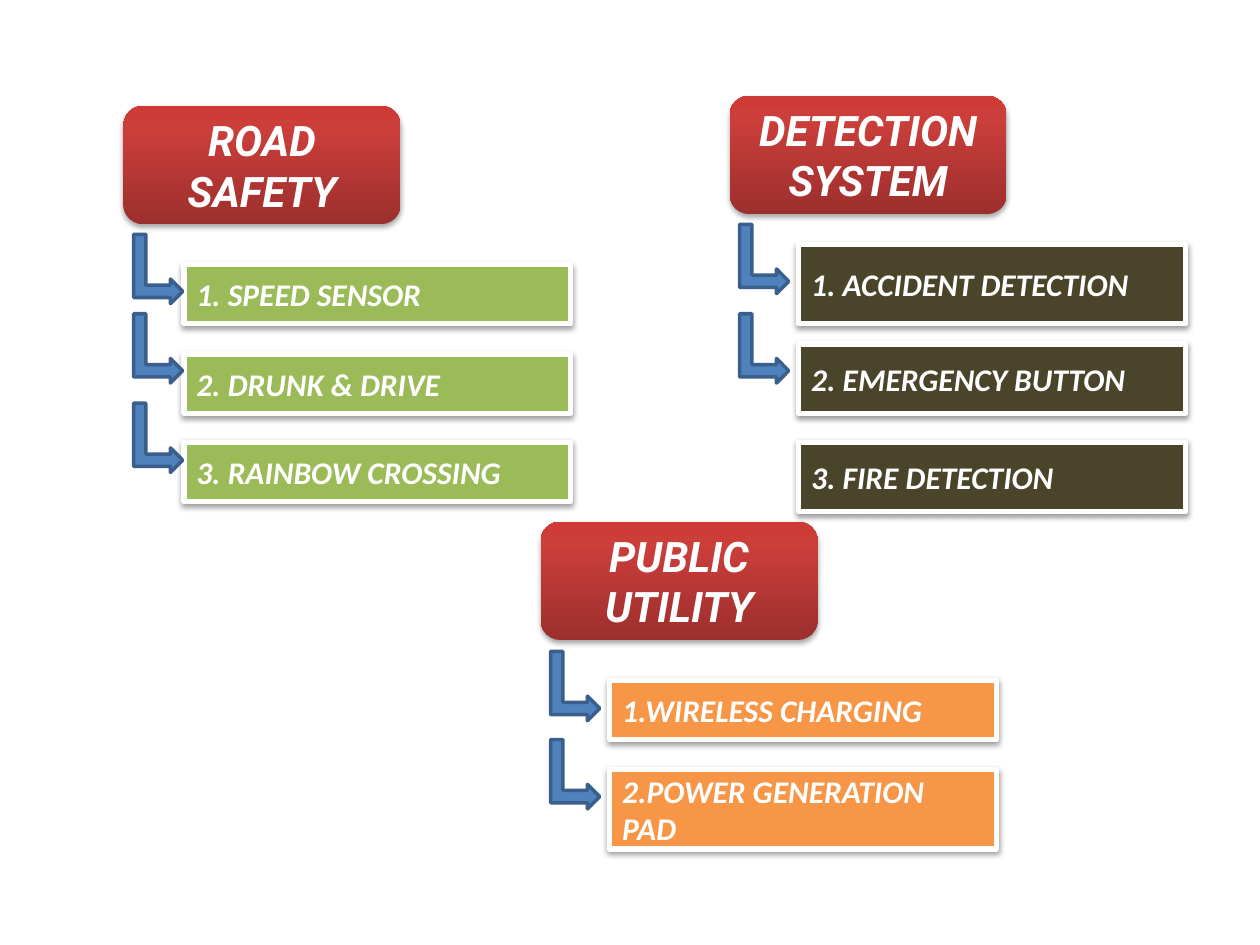
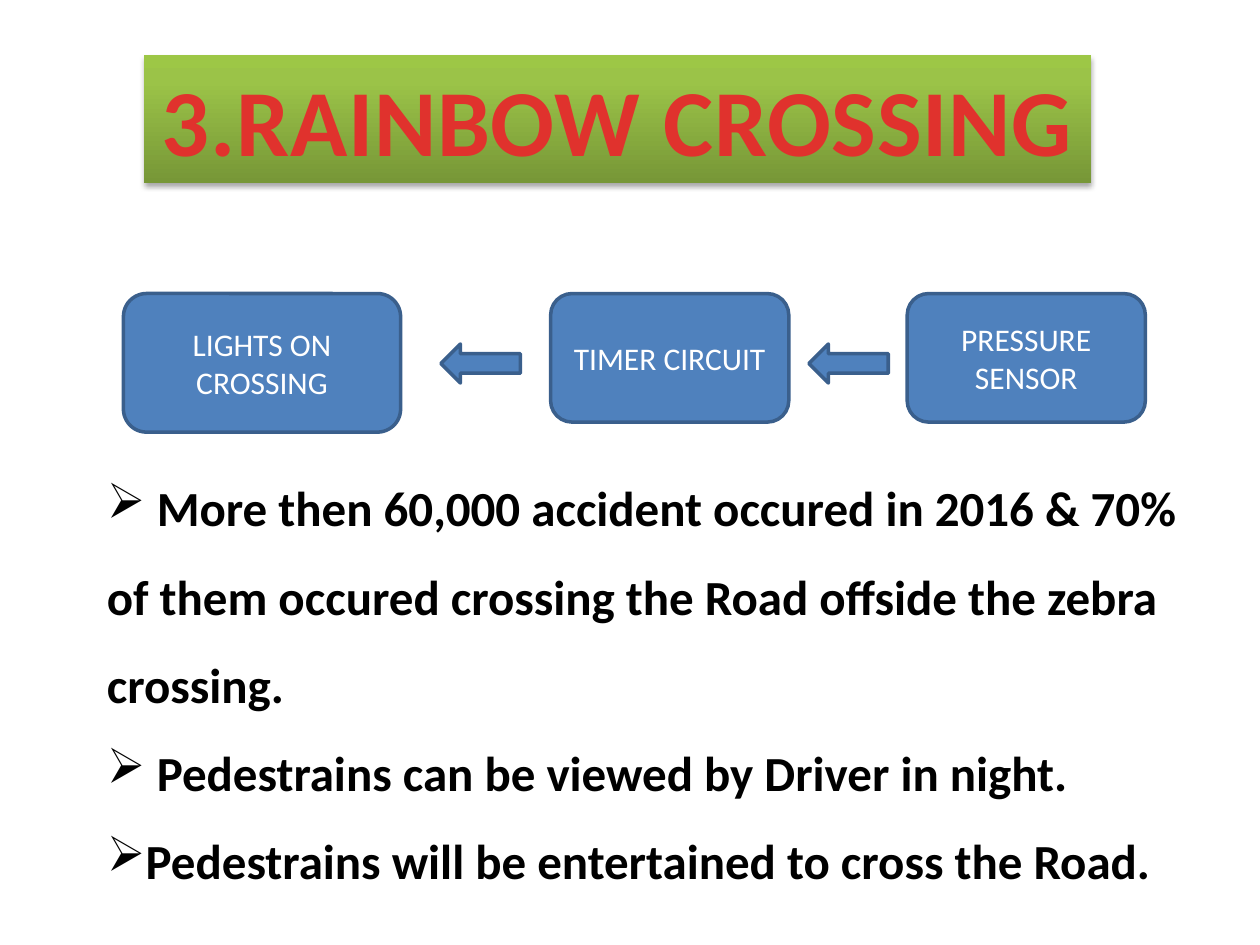
from dataclasses import dataclass

import pptx
import pptx.dml.color
import pptx.enum.shapes
import pptx.enum.text
import pptx.oxml
import pptx.oxml.ns
import pptx.util
from lxml import etree

SHAPE = pptx.enum.shapes.MSO_SHAPE
ALIGN = pptx.enum.text.PP_ALIGN
ANCHOR = pptx.enum.text.MSO_ANCHOR
FIT = pptx.enum.text.MSO_AUTO_SIZE
qn = pptx.oxml.ns.qn

PX = 9144  # EMU in one px, 100 px to the inch


@dataclass(frozen=True)
class Theme:
    white: str = "FFFFFF"
    black: str = "000000"
    blue: str = "4F81BD"
    blue_line: str = "3A5F8C"
    green: str = "9BBB59"
    orange: str = "F79646"
    olive: str = "4A452A"
    red_fade: tuple = ((0, "9C2F2D"), (80, "CB3E3A"), (100, "CE3B37"))
    green_fade: tuple = ((0, "779737"), (80, "9BC348"), (100, "9DC746"))
    title_fade: tuple = ((25, "E0322D"), (100, "A2201C"))
    body_font: str = "Calibri"
    heading_font: str = "Roboto"
    title_size: int = 54
    body_size: int = 28
    heading_size: int = 24
    label_size: int = 18


def rgb(color):
    return pptx.dml.color.RGBColor.from_string(color)


def set_fill(fill, parent, color, angle=90):
    """Fill with one colour, or with (percent, colour) stops; parent is the XML holder."""
    if isinstance(color, str):
        fill.solid()
        fill.fore_color.rgb = rgb(color)
        return
    fill.gradient()
    fill.gradient_angle = angle
    stops = parent.find(qn("a:gradFill")).find(qn("a:gsLst"))
    for old in list(stops):
        stops.remove(old)
    for percent, value in color:
        stop = etree.SubElement(stops, qn("a:gs"), pos=str(percent * 1000))
        etree.SubElement(stop, qn("a:srgbClr"), val=value)


def add_shadow(sp, opacity, distance):
    effects = sp._element.spPr.find(qn("a:effectLst"))
    shadow = etree.SubElement(effects, qn("a:outerShdw"), blurRad="40000", dist=str(distance),
                              dir="5400000", rotWithShape="0")
    color = etree.SubElement(shadow, qn("a:srgbClr"), val="000000")
    etree.SubElement(color, qn("a:alpha"), val=str(opacity * 1000))


def write_text(tf, text, *, size, color, font, bold=False, italic=False, align=ALIGN.LEFT,
               anchor=ANCHOR.MIDDLE, wrap=True, spacing=None, bullet=None, tracking=None):
    """Newlines part paragraphs; vertical tabs part lines within one."""
    tf.word_wrap = wrap
    tf.vertical_anchor = anchor
    for i, line in enumerate(text.split("\n")):
        p = tf.add_paragraph() if i else tf.paragraphs[0]
        p.text = line
        p.alignment = align
        if spacing:
            p.line_spacing = spacing
        if bullet:
            pPr = p._p.get_or_add_pPr()
            pPr.set("marL", "0")
            pPr.set("indent", "0")
            etree.SubElement(pPr, qn("a:buChar"), char=bullet)
        for r in p.runs:
            r.font.name = font
            r.font.size = pptx.util.Pt(size)
            r.font.bold = bold
            r.font.italic = italic
            rPr = r._r.get_or_add_rPr()
            set_fill(r.font.fill, rPr, color, angle=270)
            if tracking:
                rPr.set("spc", str(tracking))


class Deck:
    def __init__(self, theme):
        self.theme = theme
        self.prs = pptx.Presentation()
        self.prs.slide_width = 1000 * PX
        self.prs.slide_height = 750 * PX
        self.s = None

    def new_slide(self):
        self.s = self.prs.slides.add_slide(self.prs.slide_layouts[6])
        self.s.background.fill.solid()
        self.s.background.fill.fore_color.rgb = rgb(self.theme.white)

    def shape(self, kind, box, fill, line=None, width=2):
        sp = self.s.shapes.add_shape(kind, *(v * PX for v in box))
        sp.shadow.inherit = False
        set_fill(sp.fill, sp._element.spPr, fill)
        if line:
            sp.line.color.rgb = rgb(line)
            sp.line.width = pptx.util.Pt(width)
        else:
            sp.line.fill.background()
        return sp

    def heading(self, left, top, text):
        t = self.theme
        sp = self.shape(SHAPE.ROUNDED_RECTANGLE, (left, top, 220, 94), t.red_fade)
        add_shadow(sp, 35, 23000)
        write_text(sp.text_frame, text, size=t.heading_size, color=t.white,
                   font=t.heading_font, bold=True, italic=True, align=ALIGN.CENTER)

    def item(self, left, top, height, text, fill):
        t = self.theme
        sp = self.shape(SHAPE.RECTANGLE, (left, top, 307, height), fill, t.white, 3)
        add_shadow(sp, 38, 20000)
        write_text(sp.text_frame, text, size=t.label_size, color=t.white,
                   font=t.body_font, bold=True, italic=True)

    def arrow(self, kind, box, rotation=0):
        sp = self.shape(kind, box, self.theme.blue, self.theme.blue_line)
        sp.rotation = rotation

    def step(self, box, text):
        t = self.theme
        sp = self.shape(SHAPE.ROUNDED_RECTANGLE, box, t.blue, t.blue_line)
        write_text(sp.text_frame, text, size=t.label_size, color=t.white,
                   font=t.body_font, align=ALIGN.CENTER)

    def title(self, box, text):
        t = self.theme
        sp = self.shape(SHAPE.RECTANGLE, box, t.green_fade)
        add_shadow(sp, 35, 23000)
        sp.text_frame.auto_size = FIT.SHAPE_TO_FIT_TEXT
        write_text(sp.text_frame, text, size=t.title_size, color=t.title_fade,
                   font=t.body_font, bold=True, align=ALIGN.CENTER, anchor=ANCHOR.TOP,
                   wrap=False, tracking=50)

    def bullets(self, box, lines):
        t = self.theme
        sp = self.s.shapes.add_textbox(*(v * PX for v in box))
        sp.text_frame.auto_size = FIT.SHAPE_TO_FIT_TEXT
        write_text(sp.text_frame, "\n".join(lines), size=t.body_size, color=t.black,
                   font=t.body_font, bold=True, anchor=ANCHOR.TOP, spacing=1.5, bullet="➢")

    def feature_group(self, left, top, heading, indent, fill, items):
        """Each item is (top, height, text, top of its arrow or None)."""
        self.heading(left, top, heading)
        for item_top, height, text, arrow_top in items:
            self.item(left + indent, item_top, height, text, fill)
            if arrow_top:
                self.arrow(SHAPE.BENT_UP_ARROW, (left, arrow_top, 55, 39), 90)


def build_features(deck):
    t = deck.theme
    deck.new_slide()
    deck.feature_group(98, 84, "ROAD\nSAFETY", 48, t.green, [
        (210, 47, "1. SPEED SENSOR", 194),
        (281, 47, "2. DRUNK & DRIVE", 257),
        (351, 47, "3. RAINBOW CROSSING", 328),
    ])
    deck.feature_group(579, 76, "DETECTION\nSYSTEM", 55, t.olive, [
        (194, 63, "1. ACCIDENT DETECTION", 186),
        (273, 55, "2. EMERGENCY BUTTON", 257),
        (351, 55, "3. FIRE DETECTION", None),
    ])
    deck.feature_group(429, 414, "PUBLIC\nUTILITY", 55, t.orange, [
        (540, 47, "1.WIRELESS CHARGING", 525),
        (611, 63, "2.POWER GENERATION\vPAD", 595),
    ])


def build_rainbow_crossing(deck):
    deck.new_slide()
    deck.title((114, 44, 752, 101), "3.RAINBOW CROSSING")
    for left, width, height, text in [(98, 220, 110, "LIGHTS ON CROSSING"),
                                      (437, 189, 102, "TIMER CIRCUIT"),
                                      (720, 189, 102, "PRESSURE SENSOR")]:
        deck.step((left, 233, width, height), text)
    for left in (350, 642):
        deck.arrow(SHAPE.LEFT_ARROW, (left, 273, 63, 31))
    deck.bullets((75, 351, 906, 356), [
        " More then 60,000 accident occured in 2016 & 70% of them occured crossing "
        "the Road offside the zebra crossing.",
        " Pedestrains can be viewed by Driver in night.",
        "Pedestrains will be entertained to cross the Road.",
    ])


def main():
    deck = Deck(Theme())
    build_features(deck)
    build_rainbow_crossing(deck)
    deck.prs.save("out.pptx")


if __name__ == "__main__":
    main()
